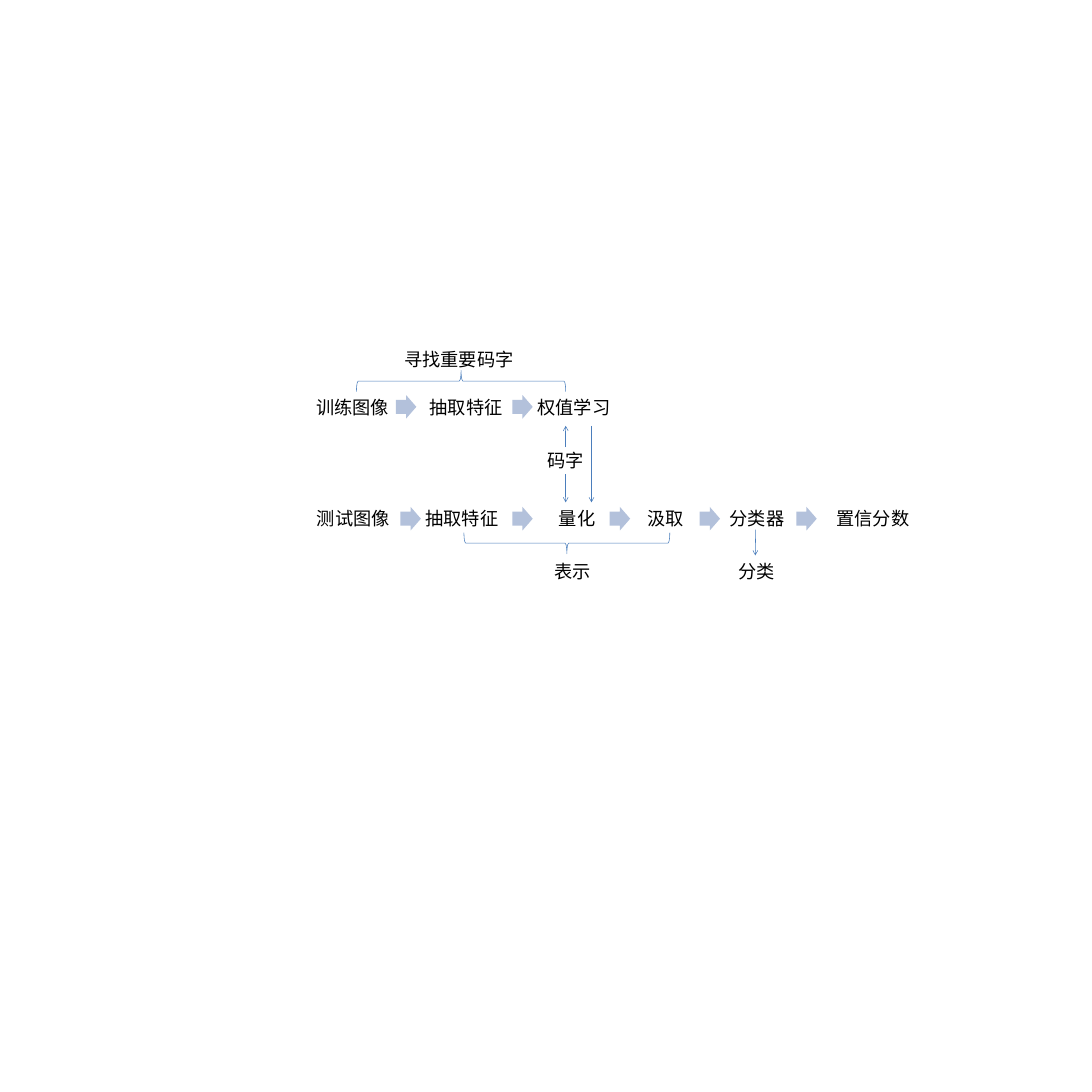
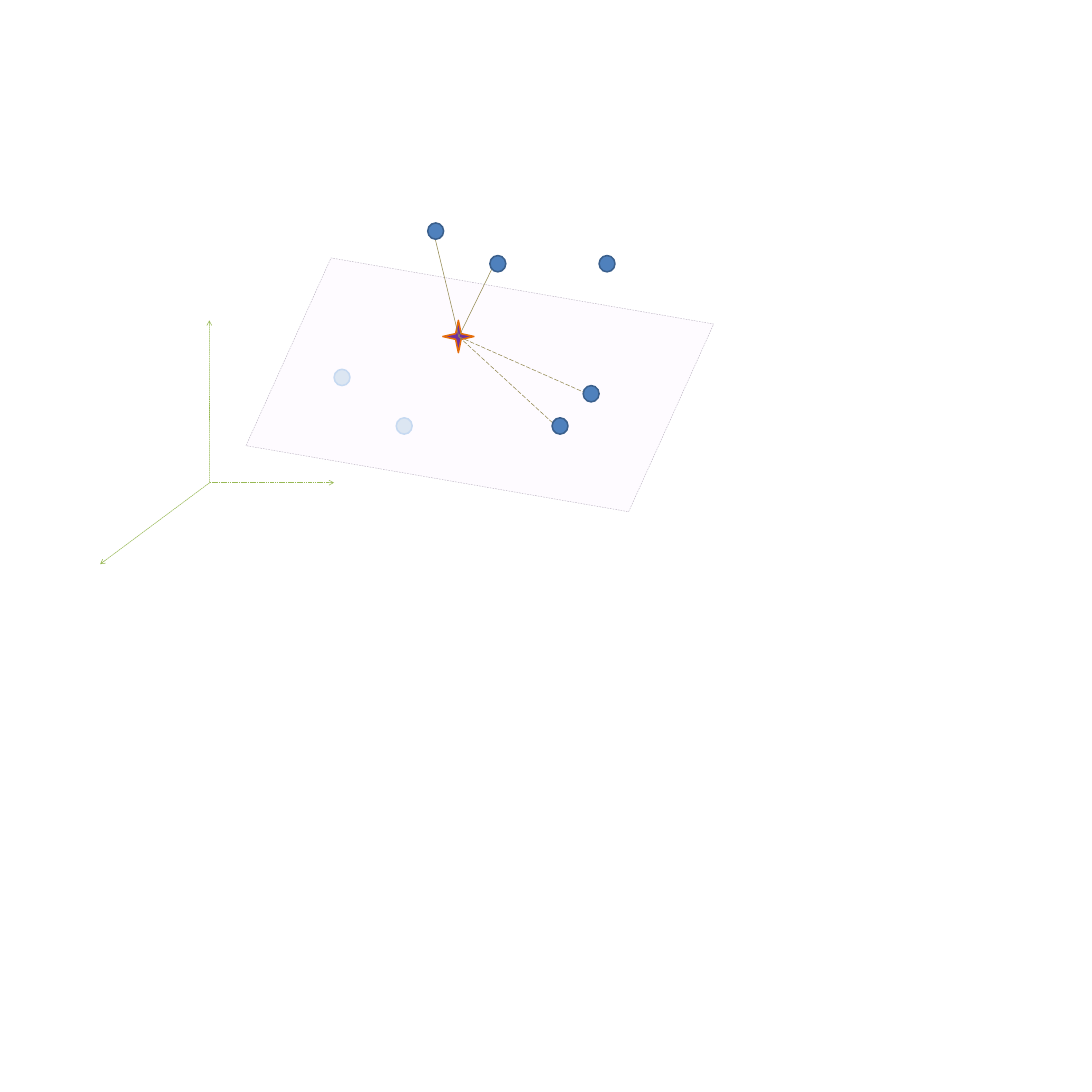
from pptx import Presentation
from pptx.dml.color import RGBColor
from pptx.enum.dml import MSO_LINE as Dash
from pptx.enum.shapes import MSO_CONNECTOR, MSO_SHAPE as Shape
from pptx.enum.text import PP_ALIGN as Align
from pptx.oxml.ns import qn
from pptx.util import Pt
from lxml.etree import SubElement

BLACK = RGBColor(0x00, 0x00, 0x00)
ARROW_BLUE = RGBColor(0xB3, 0xC1, 0xDB)
LINE_BLUE = RGBColor(0x4B, 0x7E, 0xBC)
AXIS_GREEN = RGBColor(0x98, 0xB9, 0x55)
SPOKE_OLIVE = RGBColor(0x94, 0x8A, 0x54)
PURPLE = RGBColor(0x70, 0x30, 0xA0)
ORANGE = RGBColor(0xE4, 0x6C, 0x0A)
DOT_BLUE = RGBColor(0x4F, 0x81, 0xBD)
DOT_EDGE = RGBColor(0x3A, 0x5F, 0x8C)
PALE_BLUE = RGBColor(0xDC, 0xE6, 0xF2)
PALE_EDGE = RGBColor(0xC6, 0xD9, 0xF1)
PLANE = RGBColor(0xFE, 0xFB, 0xFF)
PLANE_EDGE = RGBColor(0xB5, 0xAC, 0xBB)


def add_text(tf, text, font="Calibri", size=24, color=BLACK, align=Align.CENTER):
    tf.word_wrap = True
    p = tf.paragraphs[0]
    p.alignment = align
    r = p.add_run()
    r.text = text
    r.font.name = font
    r.font.size = Pt(size)
    r.font.color.rgb = color


class Deck:
    """Shared style and the slide being drawn; all lengths in points."""

    def __init__(self, width, height):
        self.prs = Presentation()
        self.prs.slide_width, self.prs.slide_height = Pt(width), Pt(height)
        self.s = None

    def new_slide(self):
        self.s = self.prs.slides.add_slide(self.prs.slide_layouts[6])

    def label(self, text, x, y, w, h=36):
        sp = self.s.shapes.add_textbox(Pt(x), Pt(y), Pt(w), Pt(h))
        add_text(sp.text_frame, text)
        return sp

    def shape(self, kind, x, y, w, h, fill=None, line=None, weight=2,
              dash=None, rotation=0, adjust=()):
        sp = self.s.shapes.add_shape(kind, Pt(x), Pt(y), Pt(w), Pt(h))
        sp.shadow.inherit = False
        sp.rotation = rotation
        for i, value in enumerate(adjust):
            sp.adjustments[i] = value
        if fill is None:
            sp.fill.background()
        else:
            sp.fill.solid()
            sp.fill.fore_color.rgb = fill
        if line is None:
            sp.line.fill.background()
        else:
            self.stroke(sp, line, weight, dash)
        return sp

    def stroke(self, sp, color, weight, dash=None):
        sp.line.color.rgb = color
        sp.line.width = Pt(weight)
        if dash is not None:
            sp.line.dash_style = dash

    def line(self, start, end, color=LINE_BLUE, dash=None, arrow=True):
        points = [Pt(v) for v in (*start, *end)]
        sp = self.s.shapes.add_connector(MSO_CONNECTOR.STRAIGHT, *points)
        self.stroke(sp, color, 0.75, dash)
        pr = sp._element.spPr
        if arrow:
            SubElement(pr.find(qn("a:ln")), qn("a:tailEnd"), type="arrow")
        SubElement(pr, qn("a:effectLst"))
        return sp

    def block_arrow(self, x, y):
        self.shape(Shape.RIGHT_ARROW, x, y, 27, 31, ARROW_BLUE, adjust=(0.6, 0.5))

    def brace(self, x, y, length, rotation):
        self.shape(Shape.RIGHT_BRACE, x, y, 28, length, line=LINE_BLUE,
                   weight=0.75, rotation=rotation)

    def dot(self, x, y, fill=DOT_BLUE, line=DOT_EDGE):
        self.shape(Shape.FLOWCHART_CONNECTOR, x, y, 21, 21.5, fill, line)


def flow_slide(deck):
    deck.new_slide()

    # Rows of steps: top of labels, (text, left, width), arrow lefts
    rows = [
        (518.5, [("训练图像", 408.5, 113), ("抽取特征", 558, 113.5),
                 ("权值学习", 694, 125.5)], [522, 675.5]),
        (666, [("测试图像", 408.5, 115), ("抽取特征", 551, 116.5),
               ("量化", 702, 118), ("汲取", 822, 112.5),
               ("分类器", 942, 112.5), ("置信分数", 1089.5, 123)],
         [528, 675.5, 804, 922.5, 1050]),
    ]
    for y, steps, arrows in rows:
        for text, x, w in steps:
            deck.label(text, x, y, w)
        for x in arrows:
            deck.block_arrow(x, y + 2.5)

    # Braces and their captions
    deck.brace(594, 364.5, 276, 270)
    deck.label("寻找重要码字", 522, 456, 166.5)
    deck.brace(733.5, 580.5, 271.5, 90)
    deck.label("表示", 690, 735, 129.5)
    deck.label("分类", 936, 735, 124)

    # Links between the rows
    code = deck.label("码字", 712, 589.5, 68)
    deck.line((746, 589.5), (746, 561.5)).begin_connect(code, 0)
    deck.line((746, 625.5), (746, 662.5)).begin_connect(code, 2)
    deck.line((780, 561.5), (780, 662.5))
    deck.line((996.5, 698.5), (996, 732.5))


def space_slide(deck):
    deck.new_slide()

    # Plane
    deck.shape(Shape.PARALLELOGRAM, 342.5, 376, 580.5, 263, PLANE, PLANE_EDGE,
               weight=0.5, dash=Dash.DASH, rotation=9.8, adjust=(0.26,))

    # Axes
    for end in [(132, 744), (276, 422.5), (440.5, 636.5)]:
        deck.line((276.5, 636.5), end, AXIS_GREEN, Dash.SQUARE_DOT)

    # Star and its spokes
    deck.shape(Shape.STAR_4_POINT, 584, 422.5, 41, 42.5, PURPLE, ORANGE)
    for end, dash in [((733, 561.5), Dash.LONG_DASH), ((774, 519), Dash.LONG_DASH),
                      ((648.5, 355), None), ((574, 315.5), None)]:
        deck.line((605, 444), end, SPOKE_OLIVE, dash, arrow=False)

    # Points
    for x, y in [(564, 294), (646, 337), (790, 337), (769, 508.5), (728, 551)]:
        deck.dot(x, y)
    for x, y in [(522.5, 551), (440.5, 487)]:
        deck.dot(x, y, PALE_BLUE, PALE_EDGE)


def main():
    deck = Deck(1440, 1440)
    flow_slide(deck)
    space_slide(deck)
    deck.prs.save("out.pptx")


if __name__ == "__main__":
    main()
